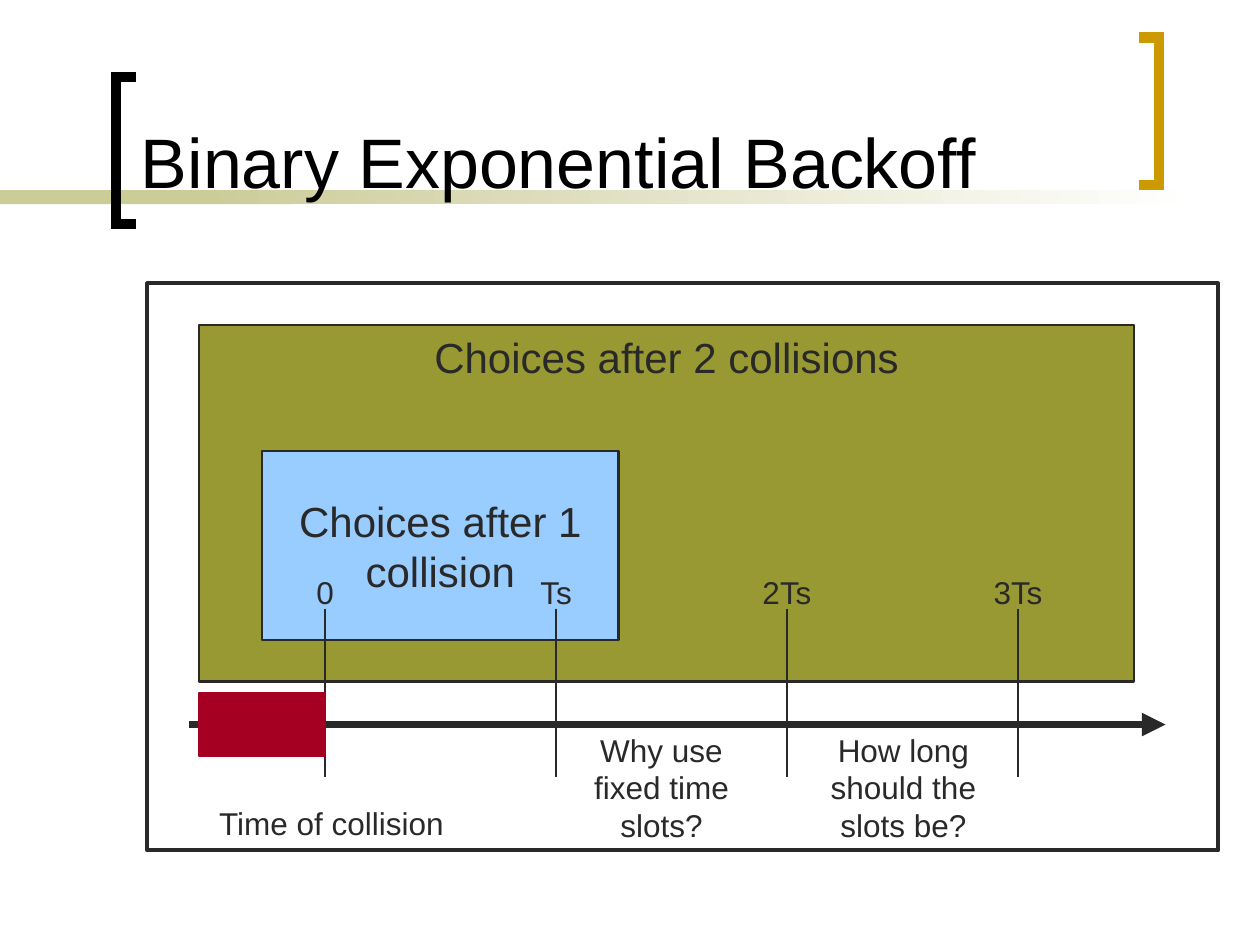
from pptx import Presentation
from pptx.dml.color import RGBColor
from pptx.enum.shapes import MSO_CONNECTOR, MSO_SHAPE
from pptx.enum.text import MSO_ANCHOR, PP_ALIGN
from pptx.oxml.ns import qn
from pptx.util import Inches, Pt
from lxml.etree import SubElement

INK = "292929"
SAND = "CCCC99"
WHITE = "FFFFFF"
FIRST_TICK = 2.58
TICK_GAP = 5.5 / 3
LABEL_WIDTH = 0.83


def color(value):
    return RGBColor.from_string(value)


def set_line(line, value, width):
    line.color.rgb = color(value)
    line.width = Pt(width)


def set_text(shape, text, size, value=INK, align=PP_ALIGN.CENTER,
             anchor=MSO_ANCHOR.TOP, wrap=True):
    text_frame = shape.text_frame
    text_frame.text = text
    text_frame.word_wrap = wrap
    text_frame.vertical_anchor = anchor
    paragraph = text_frame.paragraphs[0]
    paragraph.alignment = align
    font = paragraph.runs[0].font
    font.name = "Arial"
    font.size = Pt(size)
    font.color.rgb = color(value)


def add_rectangle(shapes, left, top, width, height, fill, line=None, line_width=1.5):
    shape = shapes.add_shape(MSO_SHAPE.RECTANGLE, Inches(left), Inches(top),
                             Inches(width), Inches(height))
    shape.shadow.inherit = False
    shape.fill.solid()
    shape.fill.fore_color.rgb = color(fill)
    if line:
        set_line(shape.line, line, line_width)
    else:
        shape.line.fill.background()
    return shape


def add_text(shapes, left, top, width, height, text, size=18, **options):
    box = shapes.add_textbox(Inches(left), Inches(top), Inches(width), Inches(height))
    set_text(box, text, size, **options)


def add_line(shapes, start, end, width, arrow=False):
    connector = shapes.add_connector(MSO_CONNECTOR.STRAIGHT, *map(Inches, start + end))
    set_line(connector.line, INK, width)
    properties = connector._element.spPr
    if arrow:
        SubElement(properties.find(qn("a:ln")), qn("a:tailEnd"), type="triangle")
    SubElement(properties, qn("a:effectLst"))


def add_bracket(shapes, tip, spine, top, bottom, value):
    points = [(Inches(x), Inches(y))
              for x, y in ((tip, top), (spine, top), (spine, bottom), (tip, bottom))]
    builder = shapes.build_freeform(*points[0])
    builder.add_line_segments(points[1:], close=False)
    shape = builder.convert_to_shape()
    shape.shadow.inherit = False
    shape.fill.background()
    set_line(shape.line, value, 6)
    SubElement(shape._element.spPr.find(qn("a:ln")), qn("a:miter"), lim="800000")


def add_heading(shapes):
    add_rectangle(shapes, 0, 1.51, 2.33, 0.11, SAND)
    fade = add_rectangle(shapes, 1.58, 1.51, 7.92, 0.11, SAND).fill
    fade.gradient()
    fade.gradient_angle = 0
    for stop, value in zip(fade.gradient_stops, (SAND, WHITE)):
        stop.color.rgb = color(value)
    add_bracket(shapes, 1.08, 0.92, 0.61, 1.78, "000000")
    add_bracket(shapes, 9.04, 9.2, 0.3, 1.47, "CC9900")
    add_text(shapes, 1.02, 0.11, 7.83, 1.55, "Binary Exponential Backoff", 40,
             value="000000", align=PP_ALIGN.LEFT, anchor=MSO_ANCHOR.BOTTOM)


def add_choices(shapes):
    add_rectangle(shapes, 1.17, 2.25, 8.5, 4.5, WHITE, INK, 2.25)
    two_collisions = add_rectangle(shapes, 1.58, 2.58, 7.42, 2.83, "999933", INK)
    set_text(two_collisions, "Choices after 2 collisions", 24, wrap=False)
    one_collision = add_rectangle(shapes, 2.08, 3.58, 2.83, 1.5, "99CCFF", INK)
    set_text(one_collision, "Choices after 1 collision", 24, anchor=MSO_ANCHOR.MIDDLE)


def add_timeline(shapes):
    add_line(shapes, (1.5, 5.75), (9.25, 5.75), 4.5, arrow=True)
    ticks = shapes.add_group_shape().shapes
    for index, label in enumerate(("0", "Ts", "2Ts", "3Ts")):
        x = FIRST_TICK + index * TICK_GAP
        add_line(ticks, (x, 4.83), (x, 6.17), 1.5)
        add_text(shapes, x - LABEL_WIDTH / 2, 4.5, LABEL_WIDTH, 0.4, label)

    collision = shapes.add_group_shape().shapes
    add_rectangle(collision, 1.58, 5.5, 1, 0.5, "A50021", "A50021")
    add_text(collision, 1.42, 6.33, 2.42, 0.4, "Time of collision")

    add_text(shapes, 4.5, 5.75, 1.5, 1, "Why use fixed time slots?")
    add_text(shapes, 6.42, 5.75, 1.5, 1, "How long should the slots be?")


def main():
    presentation = Presentation()
    presentation.slide_width = Inches(10)
    presentation.slide_height = Inches(7.5)
    slide = presentation.slides.add_slide(presentation.slide_layouts[6])
    add_heading(slide.shapes)
    add_choices(slide.shapes)
    add_timeline(slide.shapes)
    presentation.save("out.pptx")


if __name__ == "__main__":
    main()
